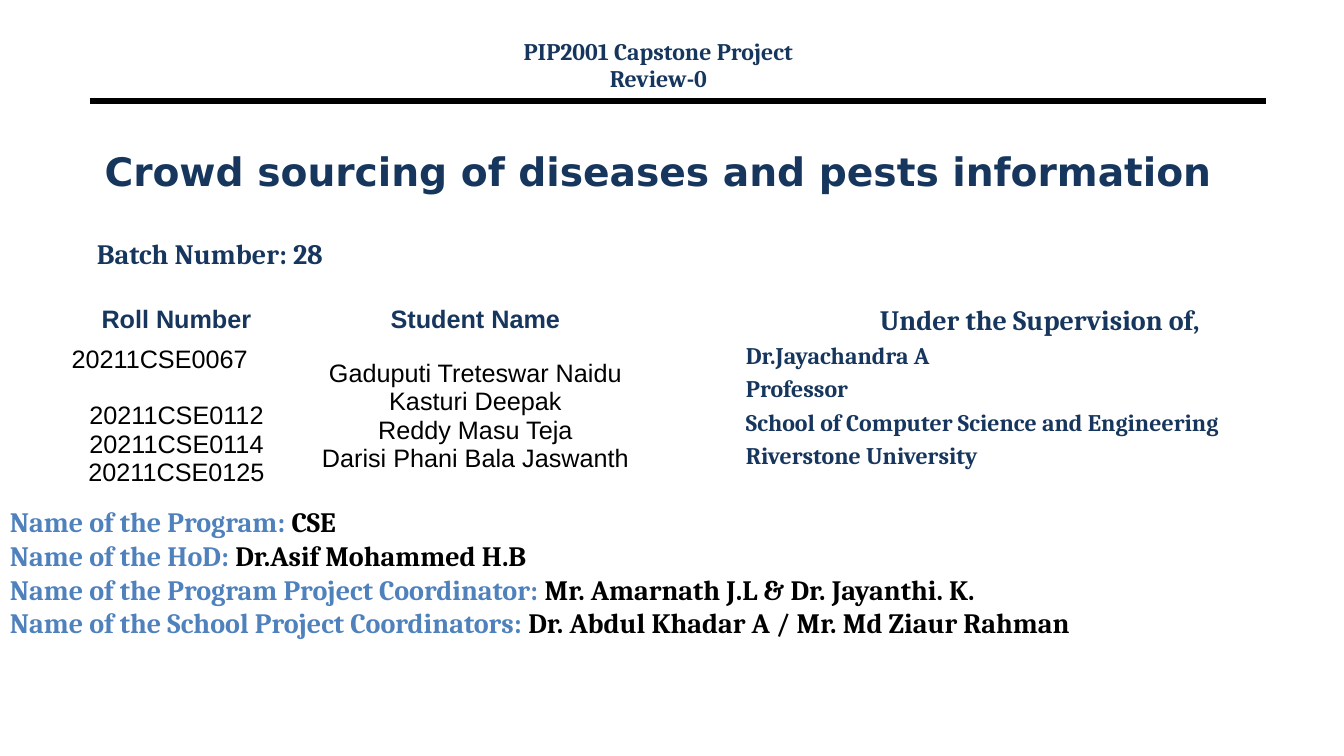
from dataclasses import dataclass

from lxml import etree
from pptx import Presentation
from pptx import util as u
from pptx.dml.color import RGBColor
from pptx.enum import shapes, text
from pptx.oxml import ns


@dataclass(frozen=True)
class Theme:
    navy: str = "17365D"
    blue: str = "4F81BD"
    black: str = "000000"
    serif: str = "Cambria"
    sans: str = "Arial"
    display: str = "DejaVu Sans"
    title_size: int = 28
    heading_size: int = 20
    cell_size: int = 18
    detail_size: int = 17


CENTER, LEFT = text.PP_ALIGN.CENTER, text.PP_ALIGN.LEFT


class CoverSlide:
    def __init__(self, deck, theme):
        self.theme = theme
        self.slide = deck.slides.add_slide(deck.slide_layouts[0])

    def style_font(self, target, size, color, face, bold=True):
        target.size, target.name, target.bold = u.Pt(size), face, bold
        target.color.rgb = RGBColor.from_string(color)

    def fill_lines(self, frame, lines, size, color=None, face=None, bold=True,
                   align=LEFT, before=0, spacing=None):
        frame.word_wrap = True
        for number, line in enumerate(lines):
            paragraph = frame.paragraphs[0] if number == 0 else frame.add_paragraph()
            paragraph.text = line
            paragraph.alignment = align
            paragraph.space_before = u.Pt(before if number else 0)
            if spacing:
                paragraph.line_spacing = spacing
            self.style_font(paragraph.font, size, color or self.theme.navy,
                            face or self.theme.serif, bold)
        return frame.paragraphs

    def placeholder(self, index, box, line, size, face, align, anchor):
        holder = self.slide.placeholders[index]
        holder.left, holder.top, holder.width, holder.height = map(u.Inches, box)
        holder.text_frame.auto_size = text.MSO_AUTO_SIZE.NONE
        holder.text_frame.vertical_anchor = anchor
        self.fill_lines(holder.text_frame, [line], size, face=face, align=align)

    def textbox(self, box):
        return self.slide.shapes.add_textbox(*map(u.Inches, box)).text_frame

    def rule(self, left, right, top, weight):
        line = self.slide.shapes.add_connector(
            shapes.MSO_CONNECTOR.STRAIGHT, *map(u.Inches, (left, top, right, top)))
        line.line.width = u.Pt(weight)
        line.line.color.rgb = RGBColor.from_string(self.theme.black)
        etree.SubElement(line._element.spPr, ns.qn("a:effectLst"))

    def table(self, box, widths, heights, rows):
        grid = self.slide.shapes.add_table(
            len(heights), len(widths), *map(u.Inches, box)).table
        grid.horz_banding = grid.first_row = False
        for column, width in zip(grid.columns, widths):
            column.width = u.Inches(width)
        for row, height in zip(grid.rows, heights):
            row.height = u.Inches(height)
        for cell in grid.iter_cells():
            cell.fill.background()
            cell.vertical_anchor = text.MSO_ANCHOR.MIDDLE
        for r, row in enumerate(rows):
            for c, lines in enumerate(row):
                color = self.theme.black if r else self.theme.navy
                self.fill_lines(grid.cell(r, c).text_frame, lines, self.theme.cell_size,
                                color, self.theme.sans, bold=r == 0, align=CENTER)
        return grid

    def labelled_list(self, box, entries):
        frame = self.textbox(box)
        labels = [label + ": " for label, _ in entries]
        paragraphs = self.fill_lines(frame, labels, self.theme.heading_size, self.theme.blue)
        for paragraph, (_, person) in zip(paragraphs, entries):
            value = paragraph.add_run()
            value.text = person
            value.font.color.rgb = RGBColor.from_string(self.theme.black)


def main():
    deck = Presentation()
    deck.slide_width, deck.slide_height = u.Inches(13.33), u.Inches(7.5)
    theme = Theme()
    cover = CoverSlide(deck, theme)

    cover.rule(0.89, 12.56, 1, 4.5)
    cover.placeholder(0, (0.86, 1.17, 11.33, 1.05),
                      "Crowd sourcing of diseases and pests information",
                      theme.title_size, theme.display, CENTER, text.MSO_ANCHOR.MIDDLE)
    cover.placeholder(1, (0.86, 2.3, 4.34, 0.6), "Batch Number: 28",
                      theme.heading_size, theme.serif, LEFT, text.MSO_ANCHOR.TOP)

    students = cover.table(
        (0.61, 2.98, 5.93, 3.3), (2.28, 3.65), (0.38, 1.54) + (0.33,) * 4,
        [
            (["Roll Number"], ["Student Name"]),
            (["20211CSE0067", "20211CSE0112", "20211CSE0114", "20211CSE0125"],
             ["Gaduputi Treteswar Naidu", "Kasturi Deepak", "Reddy Masu Teja",
              "Darisi Phani Bala Jaswanth"]),
        ])
    first_roll = students.cell(1, 0).text_frame.paragraphs[0]
    first_roll.alignment = LEFT
    first_roll.space_after = u.Pt(20)

    supervision = cover.fill_lines(
        cover.textbox((7.3, 2.95, 6.03, 2.21)),
        ["Under the Supervision of,", "Dr.Jayachandra A", "Professor",
         "School of Computer Science and Engineering", "Riverstone University"],
        theme.detail_size, before=3.4)
    supervision[0].alignment = CENTER
    supervision[0].font.size = u.Pt(theme.heading_size)

    cover.fill_lines(cover.textbox((4.36, 0.37, 4.34, 0.6)),
                     ["PIP2001 Capstone Project", "Review-0"],
                     theme.detail_size, align=CENTER, before=3.1, spacing=0.8)

    cover.labelled_list((0, 4.96, 13.4, 1.71), [
        ("Name of the Program", "CSE"),
        ("Name of the HoD", "Dr.Asif Mohammed H.B"),
        ("Name of the Program Project Coordinator", "Mr. Amarnath J.L & Dr. Jayanthi. K."),
        ("Name of the School Project Coordinators",
         "Dr. Abdul Khadar A / Mr. Md Ziaur Rahman"),
    ])
    deck.save("out.pptx")


if __name__ == "__main__":
    main()
